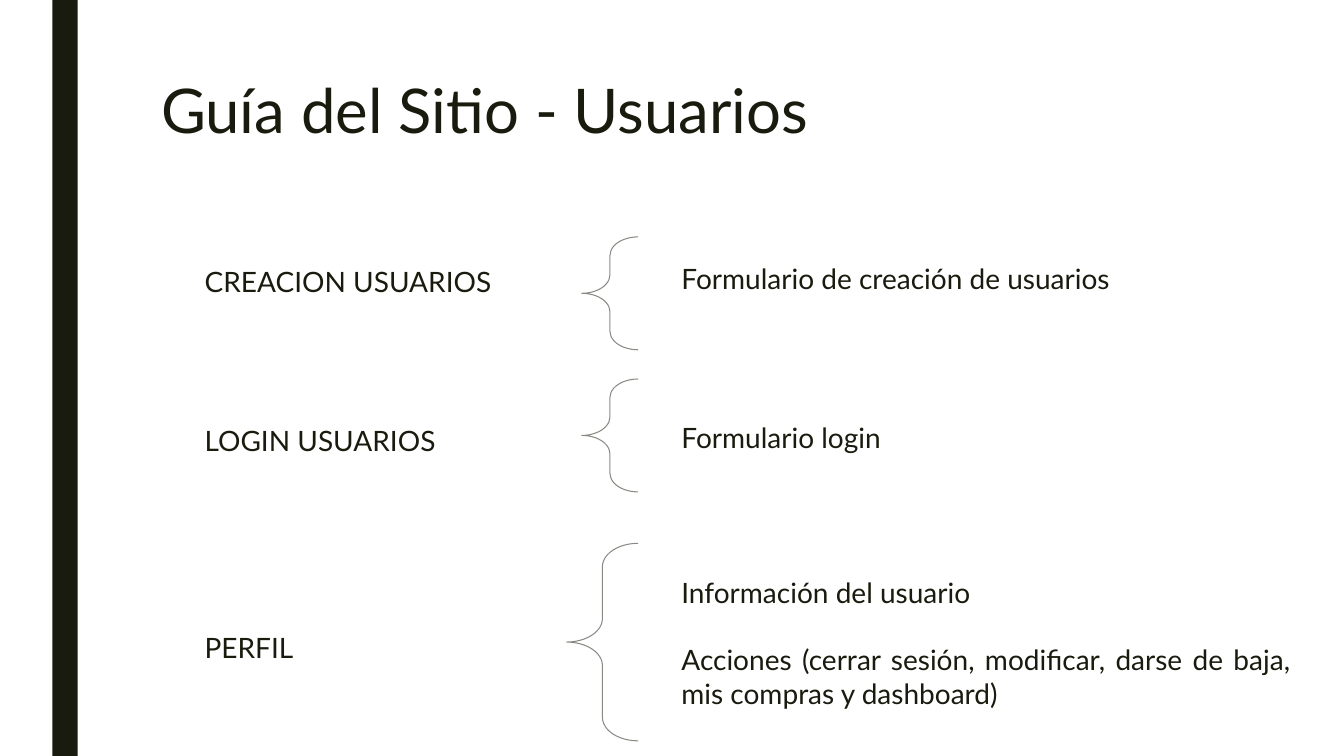
from pptx import Presentation
from pptx.dml.color import RGBColor
from pptx.enum.shapes import MSO_SHAPE as Shape
from pptx.enum.text import MSO_ANCHOR as Anchor, PP_ALIGN as Align
from pptx.util import Inches, Pt

COLORS = {"ink": "191B0E", "brace": "898A83", "paper": "FFFFFF"}
FONT = "Lato"
LABEL_LEFT, LABEL_WIDTH = 1.87, 3.64
DETAIL_LEFT, DETAIL_WIDTH = 6.66, 6.24
ROW_HEIGHT = 1.02
BRACE_RIGHT = 6.33

SECTIONS = [
    ("CREACION USUARIOS", 2.23, ["Formulario de creación de usuarios"], 2.2, (2.35, 0.56, 1.12)),
    ("LOGIN USUARIOS", 3.81, ["Formulario login"], 3.78, (3.76, 0.56, 1.12)),
    ("PERFIL", 5.86, [
        "Información del usuario",
        "Acciones (cerrar sesión, modificar, darse de baja, mis compras y dashboard)",
    ], 5.32, (5.39, 0.71, 1.96)),
]


def color(name):
    """Return the palette colour with this name."""
    return RGBColor.from_string(COLORS[name])


def add_text(slide, box, lines, size=20, align=Align.JUSTIFY, inset_left=0.1, inset_top=0.39):
    """Add a wrapped text box with one paragraph per line, a line's height apart."""
    frame = slide.shapes.add_textbox(*map(Inches, box)).text_frame
    frame.word_wrap = True
    frame.vertical_anchor = Anchor.TOP
    frame.margin_left, frame.margin_top = Inches(inset_left), Inches(inset_top)
    for index, line in enumerate(lines):
        paragraph = frame.paragraphs[0] if index == 0 else frame.add_paragraph()
        paragraph.alignment = align
        if index:
            paragraph.space_before = Pt(24)
        run = paragraph.add_run()
        run.text = line
        run.font.name, run.font.size = FONT, Pt(size)
        run.font.color.rgb = color("ink")
    return frame


def add_side_bar(slide):
    """Add the dark vertical bar at the left edge."""
    bar = slide.shapes.add_shape(Shape.RECTANGLE, Inches(0.52), 0, Inches(0.25), Inches(7.5))
    bar.shadow.inherit = False
    bar.fill.solid()
    bar.fill.fore_color.rgb = color("ink")
    bar.line.fill.background()


def add_brace(slide, top, width, height):
    """Add a thin left brace whose open side lies on the common right edge."""
    box = (BRACE_RIGHT - width, top, width, height)
    brace = slide.shapes.add_shape(Shape.LEFT_BRACE, *map(Inches, box))
    brace.shadow.inherit = False
    brace.adjustments[0] = 0.328
    brace.fill.background()
    brace.line.color.rgb = color("brace")
    brace.line.width = Pt(0.75)


def add_section(slide, label, label_top, details, detail_top, brace):
    """Add one section: its label, its brace and its details."""
    label_box = (LABEL_LEFT, label_top, LABEL_WIDTH, ROW_HEIGHT)
    detail_box = (DETAIL_LEFT, detail_top, DETAIL_WIDTH, ROW_HEIGHT)
    add_text(slide, label_box, [label], inset_left=0.16)
    add_brace(slide, *brace)
    add_text(slide, detail_box, details)


def main():
    """Build the user guide slide and save it."""
    deck = Presentation()
    deck.slide_width, deck.slide_height = Inches(13.33), Inches(7.5)
    slide = deck.slides.add_slide(deck.slide_layouts[6])
    slide.background.fill.solid()
    slide.background.fill.fore_color.rgb = color("paper")
    add_side_bar(slide)
    title = add_text(slide, (1.5, 0.75, 10.5, 1.62), ["Guía del Sitio - Usuarios"],
                     size=44, align=Align.LEFT, inset_top=0.05)
    title.paragraphs[0].line_spacing = 0.89
    for section in SECTIONS:
        add_section(slide, *section)
    deck.save("out.pptx")


if __name__ == "__main__":
    main()
